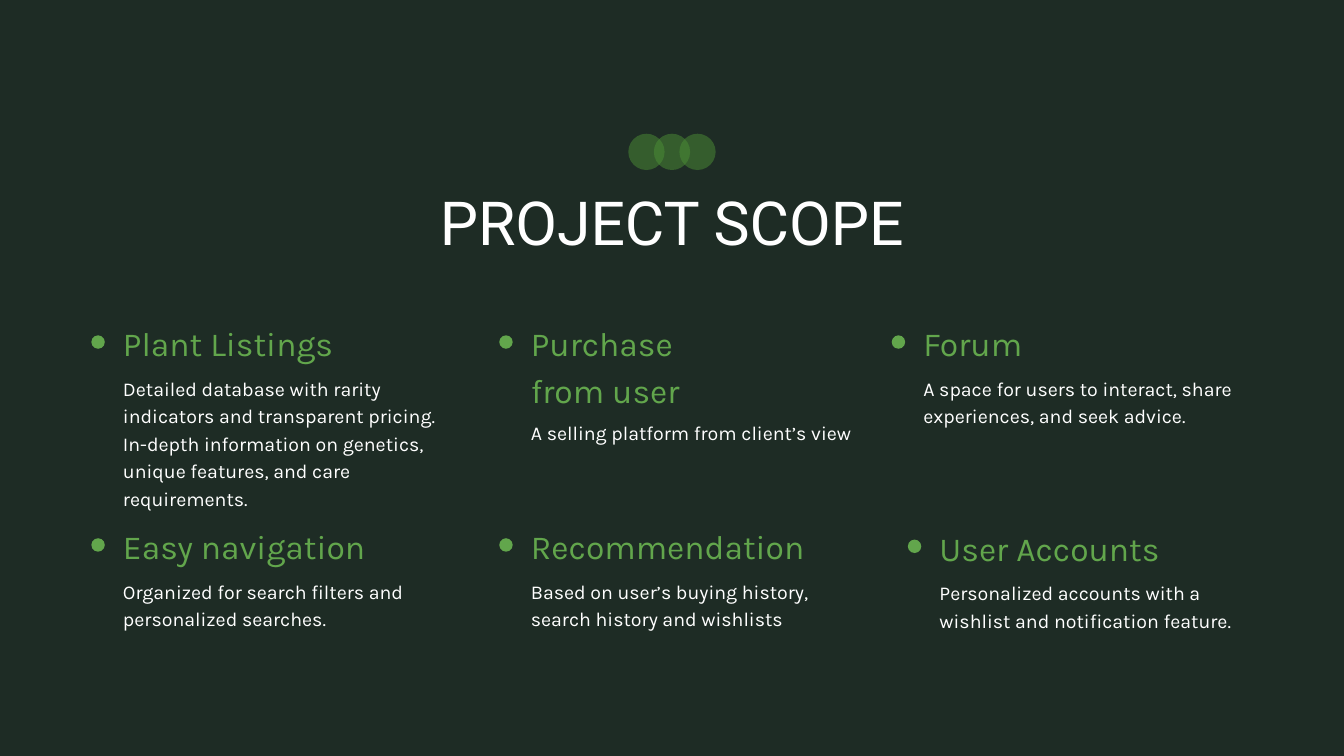
from dataclasses import dataclass

from lxml import etree
from pptx import Presentation
from pptx import util as u
from pptx.dml.color import RGBColor
from pptx.enum import shapes, text
from pptx.oxml.ns import qn

WIDE, HIGH = 20, 11.25
DARK = RGBColor(0x1E, 0x2C, 0x25)
GREEN = RGBColor(0x62, 0xA6, 0x4C)
LEAF = RGBColor(0x4C, 0x8F, 0x36)
WHITE = RGBColor(0xFF, 0xFF, 0xFF)

COLS = (1.36, 7.43, 13.27)
ROWS = (4.71, 7.73)
INDENT = 0.47
DOT, DROP = 0.2, 0.28
RING, STEP = 0.54, 0.38
BODY = 4.9


@dataclass(frozen=True)
class Font:
    name: str
    size: float
    lead: float
    color: RGBColor


TITLE = Font("Roboto", 65, 74.8, WHITE)
HEAD = Font("Karla", 36, 50.4, GREEN)
NOTE = Font("Karla", 21, 29.4, WHITE)


@dataclass(frozen=True)
class Item:
    col: int
    row: int
    head: str
    note: str
    width: float
    lines: int = 2
    tall: int = 1
    dx: float = 0
    dy: float = 0


ITEMS = (
    Item(0, 0, "Plant Listings",
         "Detailed database with rarity indicators and transparent pricing. "
         "In-depth information on genetics, unique features, and care requirements.",
         3.47, lines=4),
    Item(1, 0, "Purchase from user", "A selling platform from client’s view",
         3.3, lines=1, tall=2),
    Item(2, 0, "Forum",
         "A space for users to interact, share experiences, and seek advice.", 2.95),
    Item(0, 1, "Easy navigation",
         "Organized for search filters and personalized searches.", 3.78),
    Item(1, 1, "Recommendation",
         "Based on user’s buying history, search history and wishlists", 4.09),
    Item(2, 1, "User Accounts",
         "Personalized accounts with a wishlist and notification feature.",
         3.6, dx=0.24, dy=0.02),
)


def place(shape, x: float, y: float, w: float, h: float) -> None:
    shape.left, shape.top = u.Inches(x), u.Inches(y)
    shape.width, shape.height = u.Inches(w), u.Inches(h)


def write(shape, words: str, font: Font, align=text.PP_ALIGN.LEFT) -> None:
    frame = shape.text_frame
    frame.word_wrap = True
    frame.auto_size = text.MSO_AUTO_SIZE.NONE
    frame.vertical_anchor = text.MSO_ANCHOR.TOP
    frame.margin_left = frame.margin_right = 0
    frame.margin_top = frame.margin_bottom = 0
    para = frame.paragraphs[0]
    para.alignment = align
    para.line_spacing = u.Pt(font.lead)
    para.space_before = u.Pt(0)
    run = para.add_run()
    run.text = words
    run.font.name = font.name
    run.font.size = u.Pt(font.size)
    run.font.color.rgb = font.color


def label(slide, x: float, y: float, w: float, h: float, words: str, font: Font) -> None:
    box = slide.shapes.add_textbox(u.Inches(x), u.Inches(y), u.Inches(w), u.Inches(h))
    write(box, words, font)


def disc(slide, x: float, y: float, size: float, color: RGBColor, alpha: int = 100) -> None:
    """Draw a borderless circle; alpha is its opacity in percent."""
    side = u.Inches(size)
    oval = slide.shapes.add_shape(shapes.MSO_SHAPE.OVAL, u.Inches(x), u.Inches(y), side, side)
    oval.shadow.inherit = False
    oval.fill.solid()
    oval.fill.fore_color.rgb = color
    oval.line.fill.background()
    if alpha < 100:
        tint = oval.fill._xPr.find(qn("a:solidFill"))[0]
        etree.SubElement(tint, qn("a:alpha")).set("val", str(alpha * 1000))


def draw(slide, item: Item) -> None:
    x, y = COLS[item.col] + item.dx, ROWS[item.row] + item.dy
    disc(slide, x, y + DROP, DOT, GREEN)
    x += INDENT
    rise = HEAD.lead / 72
    label(slide, x, y, item.width, item.tall * rise, item.head, HEAD)
    # A second heading line pushes the note down, a little less than a full line.
    top = y + 0.84 + (item.tall - 1) * 0.65
    label(slide, x, top, BODY, item.lines * NOTE.lead / 72, item.note, NOTE)


def main() -> None:
    deck = Presentation()
    deck.slide_width, deck.slide_height = u.Inches(WIDE), u.Inches(HIGH)
    slide = deck.slides.add_slide(deck.slide_layouts[5])
    slide.background.fill.solid()
    slide.background.fill.fore_color.rgb = DARK

    for i in (-1, 0, 1):
        disc(slide, WIDE / 2 - RING / 2 + i * STEP, 1.99, RING, LEAF, 50)

    title = slide.shapes.title
    place(title, WIDE * 0.265, 2.79, WIDE * 0.47, 1.06)
    write(title, "PROJECT SCOPE", TITLE, text.PP_ALIGN.CENTER)

    for item in ITEMS:
        draw(slide, item)
    deck.save("out.pptx")


if __name__ == "__main__":
    main()
